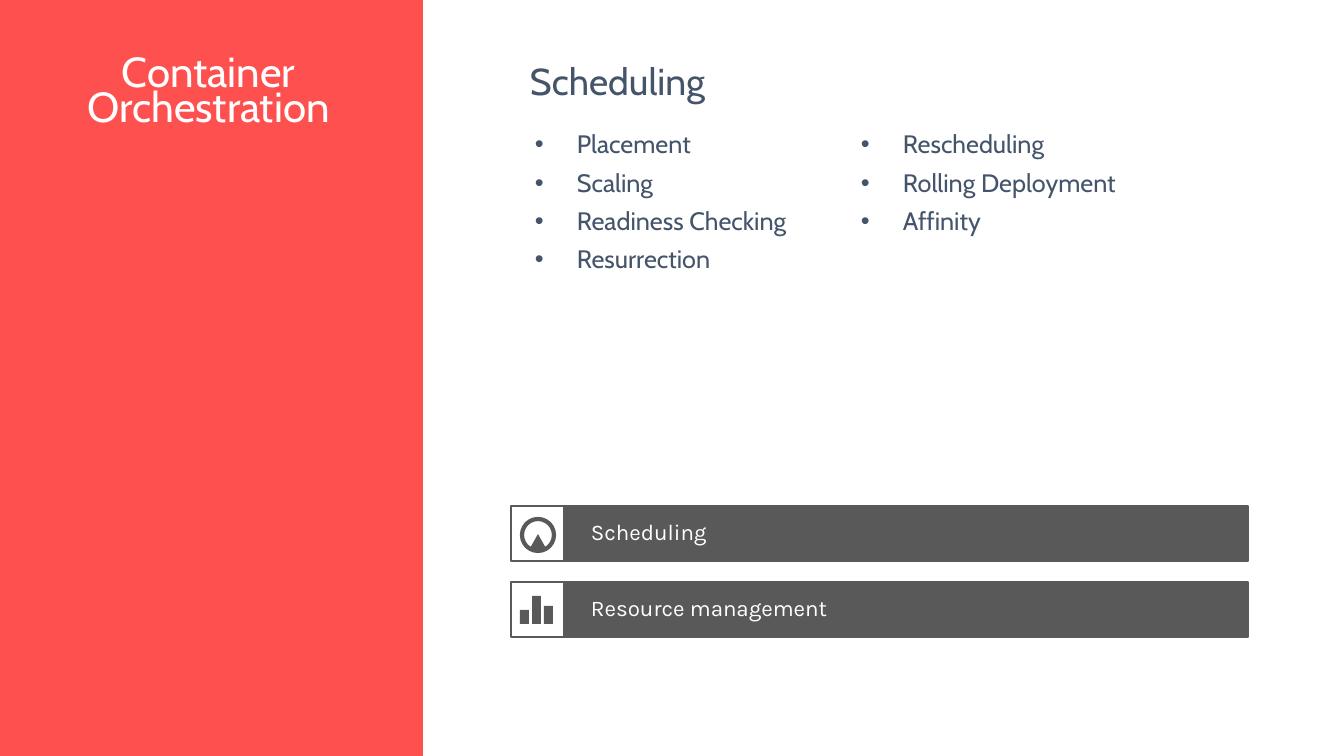
from lxml.etree import SubElement
from pptx import Presentation
from pptx.dml.color import RGBColor
from pptx.enum.shapes import MSO_SHAPE
from pptx.enum.text import MSO_ANCHOR, MSO_AUTO_SIZE, PP_ALIGN
from pptx.oxml.ns import qn
from pptx.util import Pt

PX = 12192000 / 1344
WHITE = RGBColor(0xFF, 0xFF, 0xFF)
CORAL = RGBColor(0xFF, 0x50, 0x50)
NAVY = RGBColor(0x44, 0x54, 0x6A)
GRAY = RGBColor(0x59, 0x59, 0x59)

PANEL_TITLE = "Container Orchestration"
HEADING = "Scheduling"
FEATURES = ["Placement", "Scaling", "Readiness Checking", "Resurrection",
            "Rescheduling", "Rolling Deployment", "Affinity"]
TOPICS = ["Scheduling", "Resource management"]
CHART_BAR_HEIGHTS = [14, 28, 18]

ROW_LEFT, ROW_TOP, ROW_PITCH, ROW_HEIGHT = 511, 506, 76, 55
ICON_WIDTH, BAR_WIDTH = 53, 684
BULLET_INDENT = 42


def emu(length):
    return round(length * PX)


def set_all(target, values):
    for name, value in values.items():
        setattr(target, name, value)


def add_box(kind, left, top, width, height, fill=None, line=None, line_width=1):
    shape = slide.shapes.add_shape(kind, *map(emu, (left, top, width, height)))
    shape.shadow.inherit = False
    for paint, color in ((shape.fill, fill), (shape.line.fill, line)):
        if color is None:
            paint.background()
        else:
            paint.solid()
            paint.fore_color.rgb = color
    if line is not None:
        shape.line.width = Pt(line_width)
    return shape


def add_text_box(left, top, width, height):
    shape = slide.shapes.add_textbox(*map(emu, (left, top, width, height)))
    shape.text_frame.word_wrap = True
    return shape.text_frame


def set_insets(frame, horizontal, vertical):
    set_all(frame, {"margin_left": emu(horizontal), "margin_right": emu(horizontal),
                    "margin_top": emu(vertical), "margin_bottom": emu(vertical)})


def write(paragraph, text, size, font, color, **layout):
    paragraph.text = text
    set_all(paragraph, layout)
    set_all(paragraph.font, {"size": Pt(size), "name": font})
    paragraph.font.color.rgb = color


def add_bullet(paragraph):
    properties = paragraph._p.get_or_add_pPr()
    properties.set("marL", str(emu(BULLET_INDENT)))
    properties.set("indent", str(-emu(BULLET_INDENT)))
    SubElement(properties, qn("a:buFont"), typeface="Arial")
    SubElement(properties, qn("a:buChar"), char="•")


def add_dial_icon(top):
    add_box(MSO_SHAPE.OVAL, ROW_LEFT + 11, top + 13, 32, 32, line=GRAY, line_width=3)
    add_box(MSO_SHAPE.ISOSCELES_TRIANGLE, ROW_LEFT + 18, top + 28, 18, 16, fill=GRAY)


def add_chart_icon(top):
    for index, height in enumerate(CHART_BAR_HEIGHTS):
        add_box(MSO_SHAPE.RECTANGLE, ROW_LEFT + 9 + 12 * index, top + 42 - height,
                9, height, fill=GRAY)


presentation = Presentation()
set_all(presentation, {"slide_width": emu(1344), "slide_height": emu(756)})
slide = presentation.slides.add_slide(presentation.slide_layouts[6])

add_box(MSO_SHAPE.RECTANGLE, 0, 0, 423, 756, fill=CORAL)
panel = add_text_box(62, 54, 293, 92)
write(panel.paragraphs[0], PANEL_TITLE, 30, "Cabin", WHITE,
      alignment=PP_ALIGN.CENTER, line_spacing=0.7)

heading = add_text_box(503, 43, 745, 84)
set_insets(heading, 27, 21)
heading.auto_size = MSO_AUTO_SIZE.SHAPE_TO_FIT_TEXT
write(heading.paragraphs[0], HEADING, 26.7, "Cabin", NAVY,
      line_spacing=0.9, space_after=Pt(8))

features = add_text_box(525, 127, 672, 165)
features.auto_size = MSO_AUTO_SIZE.SHAPE_TO_FIT_TEXT
features._txBody.bodyPr.set("numCol", "2")
for index, feature in enumerate(FEATURES):
    paragraph = features.add_paragraph() if index else features.paragraphs[0]
    add_bullet(paragraph)
    write(paragraph, feature, 18, "Cabin", NAVY, line_spacing=0.9, space_after=Pt(8))

for index, (topic, add_icon) in enumerate(zip(TOPICS, (add_dial_icon, add_chart_icon))):
    top = ROW_TOP + ROW_PITCH * index
    add_box(MSO_SHAPE.RECTANGLE, ROW_LEFT, top, ICON_WIDTH, ROW_HEIGHT, WHITE, GRAY)
    bar = add_box(MSO_SHAPE.RECTANGLE, ROW_LEFT + ICON_WIDTH, top, BAR_WIDTH, ROW_HEIGHT,
                  GRAY, GRAY)
    set_insets(bar.text_frame, 27, 22)
    bar.text_frame.vertical_anchor = MSO_ANCHOR.MIDDLE
    write(bar.text_frame.paragraphs[0], topic, 16, "Karla", WHITE,
          alignment=PP_ALIGN.LEFT, line_spacing=0.9)
    add_icon(top)

presentation.save("out.pptx")
